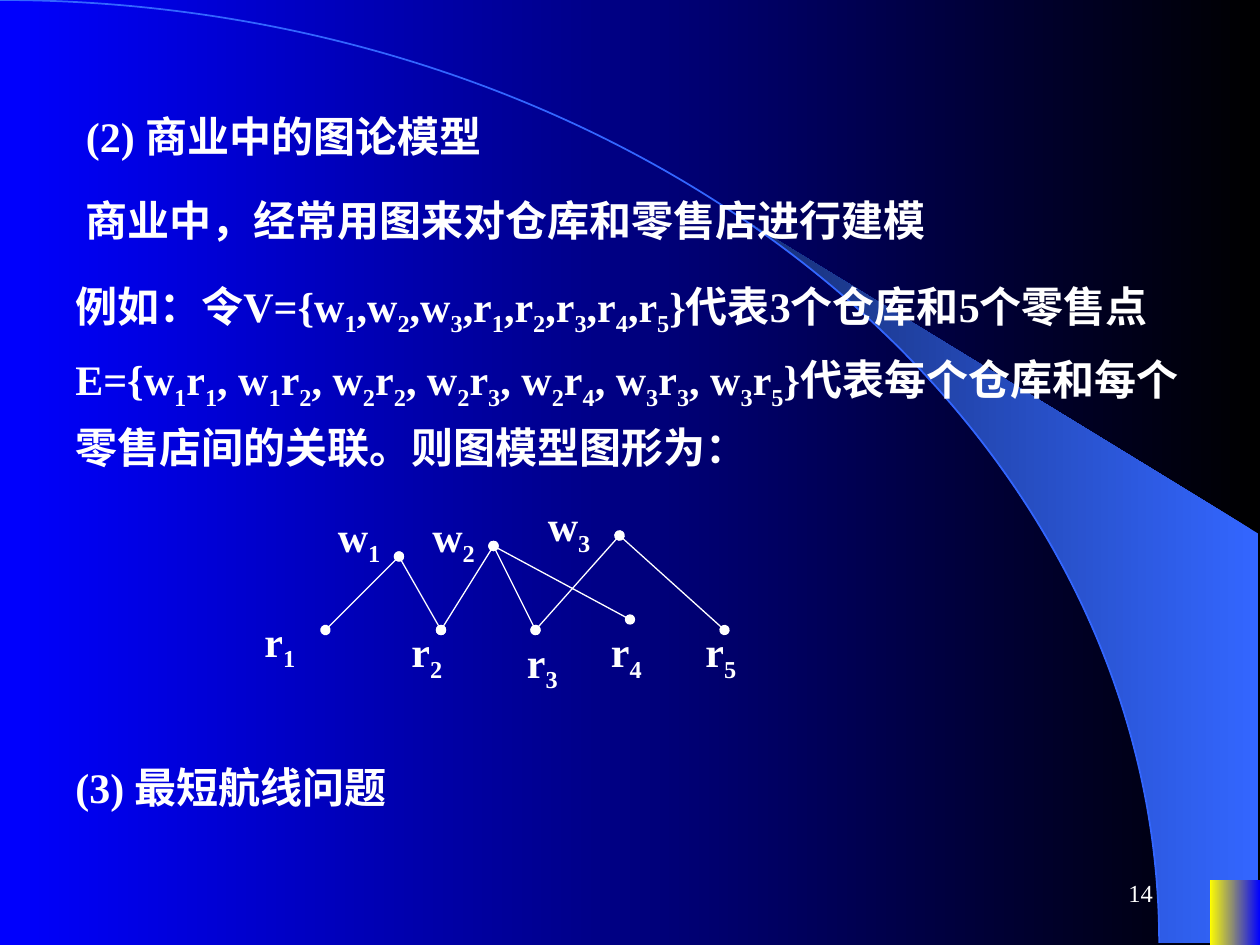
import math

from lxml import etree
from pptx import Presentation
from pptx import util as u
from pptx.dml import color
from pptx.enum import shapes, text
from pptx.oxml import ns

COLORS = {"white": "FFFFFF", "black": "000000", "blue": "0000FF",
          "yellow": "FFFF00", "sky": "3366FF", "navy": "172F75"}
COLUMNS, ROWS = 120, 90
ARC_WIDTH, ARC_HEIGHT = 110.4, 89.8
WEDGE_START = math.asin(0.64)
WEDGE_STEPS = 24

PARAGRAPHS = [
    (7, 9, 108, 7, ["(2) 商业中的图论模型"]),
    (7, 17, 109, 7, ["商业中，经常用图来对仓库和零售店进行建模"]),
    (6, 25, 114, 7.8, ["例如：令V={w_1,w_2,w_3,r_1,r_2,r_3,r_4,r_5}代表3个仓库和5个零售点"]),
    (6, 32, 114, 13.6, [
        "E={w_1r_1, w_1r_2, w_2r_2, w_2r_3, w_2r_4, w_3r_3, w_3r_5}代表每个仓库和每个",
        "零售店间的关联。则图模型图形为："]),
    (6, 71, 108, 7, ["(3) 最短航线问题"]),
]
VERTICES = {
    "w_1": ((38, 53), (31, 48)),
    "w_2": ((47, 52), (40, 48)),
    "w_3": ((59, 51), (51, 47)),
    "r_1": ((31, 60), (24, 58)),
    "r_2": ((42, 60), (38, 59)),
    "r_3": ((51, 60), (49, 60)),
    "r_4": ((60, 59), (57, 59)),
    "r_5": ((69, 60), (66, 59)),
}
EDGES = [("w_1", "r_1"), ("w_1", "r_2"), ("w_2", "r_2"), ("w_2", "r_3"),
         ("w_2", "r_4"), ("w_3", "r_3"), ("w_3", "r_5")]


class SlideBuilder:
    """Draws elements on the current slide, measured in grid columns and rows."""

    font = "Times New Roman"
    size = 24

    def __init__(self, presentation):
        self.slide = presentation.slides.add_slide(presentation.slide_layouts[6])
        self.column = presentation.slide_width / COLUMNS
        self.row = presentation.slide_height / ROWS

    def place(self, *lengths):
        units = (self.column, self.row) * 2
        return [u.Emu(round(length * unit)) for length, unit in zip(lengths, units)]

    def rgb(self, name):
        return color.RGBColor.from_string(COLORS[name])

    def gradient(self, fill, right, left):
        fill.gradient()
        fill.gradient_angle = 180
        for stop, name, position in zip(fill.gradient_stops, (right, left), (0, 1)):
            stop.color.rgb = self.rgb(name)
            stop.position = position

    def stroke(self, line, name, width):
        line.color.rgb = self.rgb(name)
        line.width = u.Pt(width)

    def block(self, shape, right, left):
        shape.shadow.inherit = False
        self.gradient(shape.fill, right, left)
        shape.line.fill.background()

    def rectangle(self, box, right, left):
        shape = self.slide.shapes.add_shape(shapes.MSO_SHAPE.RECTANGLE, *self.place(*box))
        self.block(shape, right, left)

    def polygon(self, points, right, left):
        start, *others = [self.place(*point) for point in points]
        builder = self.slide.shapes.build_freeform(*start, scale=1.0)
        builder.add_line_segments(others, close=True)
        self.block(builder.convert_to_shape(), right, left)

    def arc(self, box, name, width):
        shape = self.slide.shapes.add_shape(shapes.MSO_SHAPE.ARC, *self.place(*box))
        shape.shadow.inherit = False
        shape.fill.background()
        self.stroke(shape.line, name, width)

    def edge(self, start, end):
        connector = self.slide.shapes.add_connector(
            shapes.MSO_CONNECTOR.STRAIGHT, *self.place(*start, *end))
        self.stroke(connector.line, "white", 0.75)
        line = connector.line._get_or_add_ln()
        for tag in ("a:headEnd", "a:tailEnd"):
            etree.SubElement(line, ns.qn(tag)).set("type", "oval")
        etree.SubElement(connector._element.spPr, ns.qn("a:effectLst"))

    def set_words(self, paragraph, content, size, bold):
        first, *others = content.split("_")
        paragraph.text = first
        for part in others:
            subscript = paragraph.add_run()
            subscript.text = part[0]
            subscript.font._element.set("baseline", "-25000")
            if part[1:]:
                paragraph.add_run().text = part[1:]
        for run in paragraph.runs:
            run.font.name = self.font
            run.font.size = u.Pt(size)
            run.font.bold = bold
            run.font.color.rgb = self.rgb("white")

    def text(self, box, lines, size=size, bold=True, hanging=False):
        frame = self.slide.shapes.add_textbox(*self.place(*box)).text_frame
        frame.word_wrap = True
        frame.auto_size = text.MSO_AUTO_SIZE.SHAPE_TO_FIT_TEXT
        for index, content in enumerate(lines):
            paragraph = frame.add_paragraph() if index else frame.paragraphs[0]
            self.set_words(paragraph, content, size, bold)
            if hanging:
                paragraph.line_spacing = 1.2
                properties = paragraph._p.get_or_add_pPr()
                properties.set("marL", str(u.Inches(0.5)))
                properties.set("indent", str(u.Inches(-0.5)))
        return frame

    def page_number(self, box, number):
        frame = self.text(box, [number], size=14, bold=False)
        frame.auto_size = text.MSO_AUTO_SIZE.NONE
        frame.vertical_anchor = text.MSO_ANCHOR.MIDDLE
        frame.paragraphs[0].alignment = text.PP_ALIGN.RIGHT


def wedge_points():
    step = (math.pi / 2 - WEDGE_START) / WEDGE_STEPS
    angles = [WEDGE_START + step * index for index in range(WEDGE_STEPS + 1)]
    curve = [(ARC_WIDTH * math.sin(angle), ARC_HEIGHT * (1 - math.cos(angle)))
             for angle in angles]
    return curve + [(119.8, ARC_HEIGHT), (119.8, 50.8)]


def main():
    presentation = Presentation()
    presentation.slide_width = u.Inches(10)
    presentation.slide_height = u.Inches(7.5)
    builder = SlideBuilder(presentation)
    builder.gradient(builder.slide.background.fill, "black", "blue")
    builder.polygon(wedge_points(), "sky", "navy")
    builder.arc((-ARC_WIDTH, 0, 2 * ARC_WIDTH, 2 * ARC_HEIGHT), "sky", 1)
    builder.rectangle((115.2, 83.8, 4.8, 6.2), "blue", "yellow")
    for *box, lines in PARAGRAPHS:
        builder.text(box, lines, hanging=True)
    for start, end in EDGES:
        builder.edge(VERTICES[start][0], VERTICES[end][0])
    for name, (_, corner) in VERTICES.items():
        builder.text((*corner, 9.2, 6.7), [name])
    builder.page_number((86, 82, 25, 6), "14")
    presentation.save("out.pptx")


if __name__ == "__main__":
    main()
